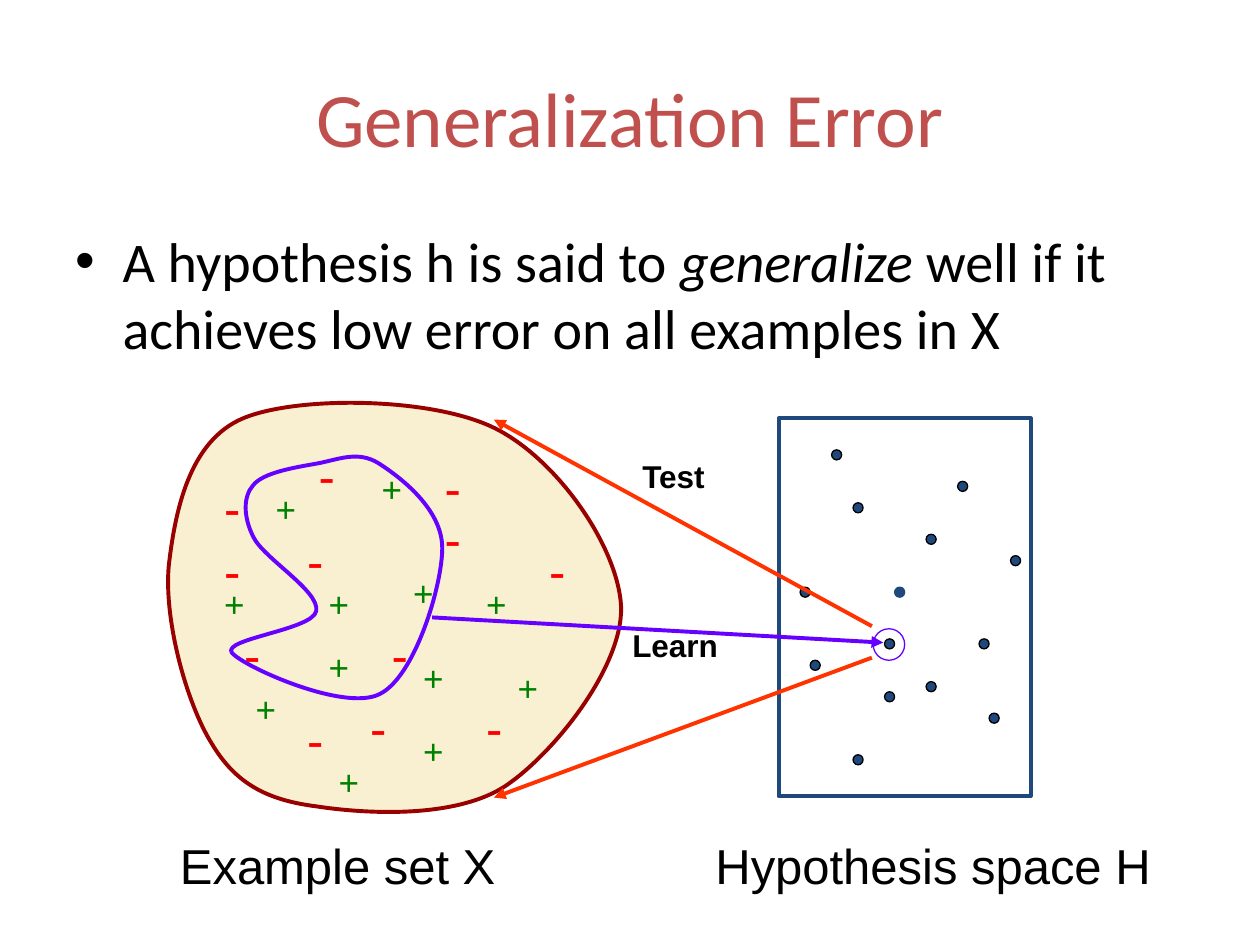
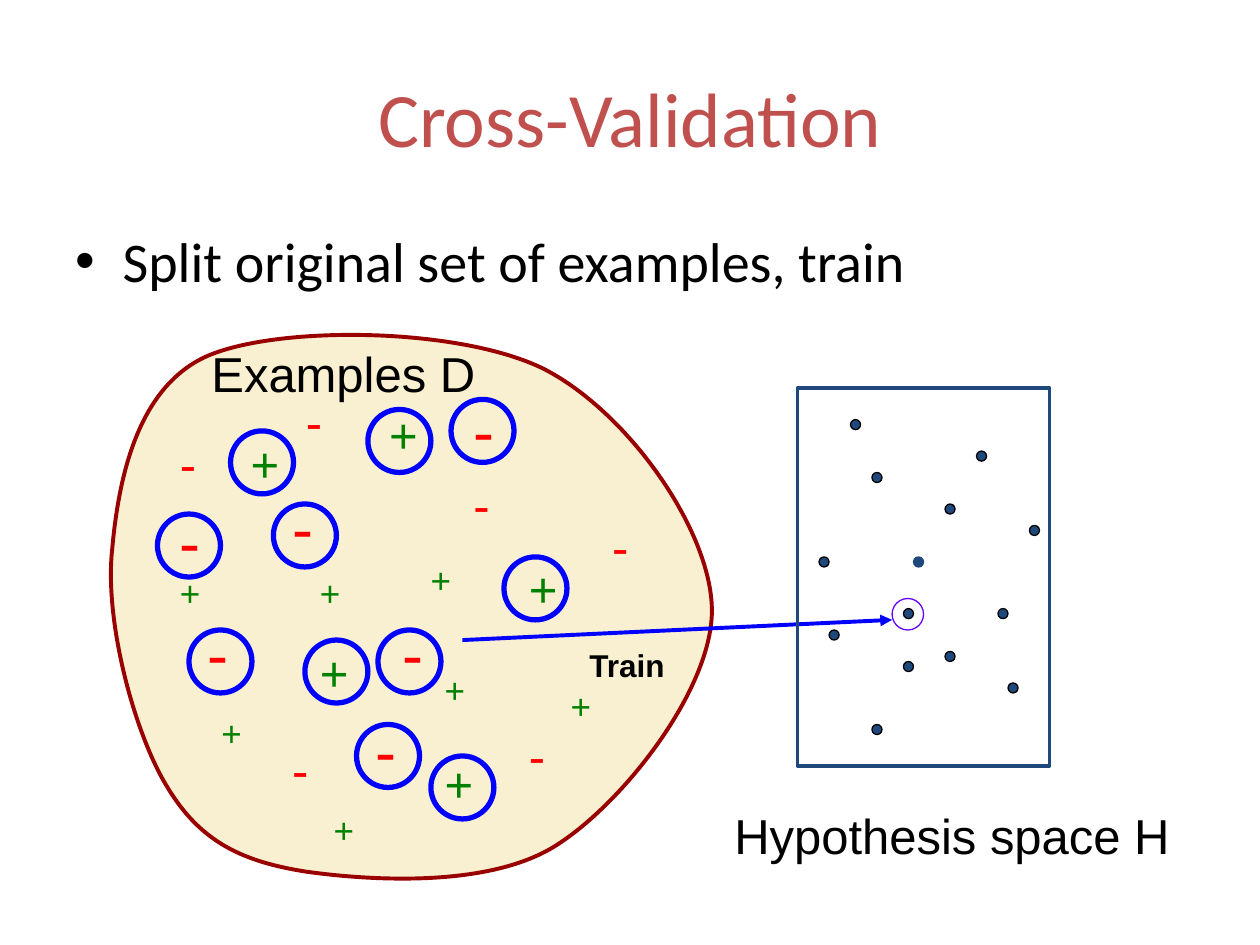
"""Build two slides on generalization error and cross-validation."""
from dataclasses import dataclass

from lxml import etree
from pptx import Presentation, util as u
from pptx.dml.color import RGBColor
from pptx.enum import shapes, text
from pptx.oxml.ns import qn

SCALE = 9144
BRICK = RGBColor(0xC0, 0x50, 0x4D)
BLACK = RGBColor(0x00, 0x00, 0x00)
GREEN = RGBColor(0x00, 0x80, 0x00)
RED = RGBColor(0xFF, 0x00, 0x00)
CREAM = RGBColor(0xF8, 0xF0, 0xD0)
MAROON = RGBColor(0x99, 0x00, 0x00)
NAVY = RGBColor(0x1F, 0x49, 0x7D)
PURPLE = RGBColor(0x66, 0x00, 0xFF)
ORANGE = RGBColor(0xFF, 0x33, 0x00)
BLUE = RGBColor(0x00, 0x00, 0xFF)

Spot = tuple[int, int]


@dataclass(frozen=True)
class Box:
    """Left, top, width and height in px."""
    x: int
    y: int
    w: int
    h: int


@dataclass(frozen=True)
class Mark:
    """A plus or minus sign and its box size."""
    sign: str
    size: int
    w: int
    h: int
    color: RGBColor


@dataclass(frozen=True)
class Label:
    """A caption and its place."""
    words: str
    box: Box
    size: int = 28
    bold: bool = False


@dataclass(frozen=True)
class Arrow:
    """A line that ends in an arrowhead."""
    start: Spot
    end: Spot
    color: RGBColor


PLUS = Mark("+", 20, 36, 43, GREEN)
MINUS = Mark("-", 28, 33, 57, RED)
BIG_PLUS = Mark("+", 28, 43, 57, GREEN)
BIG_MINUS = Mark("-", 36, 37, 70, RED)

BLOB = [(251, 640), (212, 635), (187, 622), (168, 590), (148, 558), (130, 492), (134, 449),
        (139, 406), (150, 350), (193, 332), (236, 314), (343, 315), (393, 340),
        (443, 365), (491, 435), (493, 482), (494, 529), (441, 597), (401, 624),
        (361, 650), (290, 646), (251, 640)]
WIDE = [(244, 692), (192, 684), (159, 668), (133, 625), (107, 583), (83, 494), (89, 437),
        (94, 380), (109, 306), (166, 282), (224, 258), (366, 260), (432, 293),
        (498, 327), (563, 419), (565, 482), (567, 544), (497, 635), (443, 670),
        (390, 705), (295, 699), (244, 692)]
CURVE = [(201, 426), (209, 443), (254, 469), (251, 485), (248, 500), (176, 507), (184, 518),
         (193, 529), (273, 565), (301, 551), (329, 538), (351, 465), (351, 435),
         (351, 404), (318, 379), (301, 368), (284, 357), (268, 365), (251, 368),
         (234, 371), (209, 375), (201, 385), (193, 394), (193, 410), (201, 426)]
DOTS = [(84, 175), (59, 67), (42, 25), (117, 92), (184, 109), (17, 134), (117, 209),
        (25, 192), (92, 134), (159, 175), (84, 217), (142, 50), (167, 234), (59, 267)]
BLUE_DOT = (92, 134)

SIGNS_X = {
    PLUS: [(251, 457), (326, 516), (251, 507), (168, 457), (259, 599), (293, 366),
           (376, 457), (401, 524), (193, 541), (318, 449), (209, 382), (326, 574)],
    MINUS: [(376, 549), (184, 491), (168, 374), (234, 558), (168, 424), (301, 491),
            (343, 358), (234, 416), (343, 399), (426, 424), (243, 349), (284, 549)],
}
SIGNS_D = {
    PLUS: [(244, 449), (343, 526), (133, 449), (255, 637), (443, 538), (166, 560), (332, 438)],
    MINUS: [(410, 571), (133, 339), (222, 582), (366, 372), (476, 405), (233, 306)],
}
CHOSEN = {
    BIG_PLUS: [(244, 505), (299, 316), (410, 438), (189, 339), (343, 593)],
    BIG_MINUS: [(155, 483), (133, 394), (310, 483), (366, 306), (222, 383), (288, 560)],
}
RINGS = [(183, 342), (217, 400), (125, 408), (150, 500), (242, 508), (300, 500),
         (292, 325), (358, 317), (400, 442), (283, 575), (342, 600)]


def px(*vals: int) -> list[u.Emu]:
    """Turn px lengths into EMU."""
    return [u.Emu(v * SCALE) for v in vals]


def paint(item, line: RGBColor, width: float, fill: RGBColor | None = None) -> None:
    """Set the outline and fill of a shape."""
    item.shadow.inherit = False
    item.line.color.rgb = line
    item.line.width = u.Pt(width)
    if fill is None:
        item.fill.background()
    else:
        item.fill.solid()
        item.fill.fore_color.rgb = fill


def write(host, box: Box, runs: list[tuple[str, dict]], color: RGBColor, frame: dict):
    """Add a text box of formatted runs and return its paragraph."""
    area = host.add_textbox(*px(box.x, box.y, box.w, box.h)).text_frame
    for key, val in frame.items():
        setattr(area, key, val)
    para = area.paragraphs[0]
    for words, form in runs:
        run = para.add_run()
        run.text = words
        run.font.color.rgb = color
        for key, val in form.items():
            setattr(run.font, key, val)
    return para


def head(host, title: str, parts: list[tuple[str, bool]]) -> None:
    """Add the title and the bullet, whose parts may be italic."""
    para = write(host, Box(50, 30, 900, 125), [(title, {"name": "Calibri", "size": u.Pt(44)})],
                 BRICK, {"word_wrap": True, "vertical_anchor": text.MSO_ANCHOR.MIDDLE})
    para.alignment = text.PP_ALIGN.CENTER
    runs = [(words, {"name": "Calibri", "size": u.Pt(32), "italic": slant})
            for words, slant in parts]
    para = write(host, Box(50, 175, 900, 495), runs, BLACK, {"word_wrap": True})
    props = para._p.get_or_add_pPr()
    indent = u.Pt(27)
    props.set("marL", str(indent))
    props.set("indent", str(-indent))
    etree.SubElement(props, qn("a:buFont")).set("typeface", "Arial")
    etree.SubElement(props, qn("a:buChar")).set("char", "•")


def label(host, item: Label) -> None:
    """Add one caption."""
    form = {"name": "Arial", "size": u.Pt(item.size), "bold": item.bold}
    write(host, item.box, [(item.words, form)], BLACK,
          {"word_wrap": True, "auto_size": text.MSO_AUTO_SIZE.SHAPE_TO_FIT_TEXT})


def signs(host, marks: dict[Mark, list[Spot]]) -> None:
    """Add plus and minus signs."""
    for mark, spots in marks.items():
        form = {"name": "Arial", "size": u.Pt(mark.size)}
        for x, y in spots:
            write(host, Box(x, y, mark.w, mark.h), [(mark.sign, form)], mark.color,
                  {"word_wrap": False, "auto_size": text.MSO_AUTO_SIZE.SHAPE_TO_FIT_TEXT})


def loop(host, knots: list[Spot], line: RGBColor, fill: RGBColor | None = None) -> None:
    """Draw a closed outline of cubic curves."""
    first, *rest = [px(*knot) for knot in knots]
    pen = host.build_freeform(*first, scale=1.0)
    pen.add_line_segments(rest, close=True)
    item = pen.convert_to_shape()
    legs = list(item._element.iter(qn("a:lnTo")))
    for i in range(0, len(legs), 3):
        bend = etree.Element(qn("a:cubicBezTo"))
        legs[i].addprevious(bend)
        for leg in legs[i:i + 3]:
            bend.append(leg[0])
            leg.getparent().remove(leg)
    paint(item, line, 2.25, fill)


def disc(host, spot: Spot, size: int, line: RGBColor, width: float,
         fill: RGBColor | None = None) -> None:
    """Draw a circle."""
    item = host.add_shape(shapes.MSO_SHAPE.OVAL, *px(*spot, size, size))
    paint(item, line, width, fill)


def space(host, x: int, y: int) -> None:
    """Draw the hypothesis space with its dots, ring and caption."""
    frame = host.add_shape(shapes.MSO_SHAPE.RECTANGLE, *px(x, y, 200, 300))
    paint(frame, NAVY, 2.25)
    for dot in DOTS:
        edge = NAVY if dot == BLUE_DOT else BLACK
        disc(host, (x + dot[0], y + dot[1]), 8, edge, 0.75, NAVY)
    disc(host, (x + 75, y + 167), 25, PURPLE, 0.75)
    label(host, Label("Hypothesis space H", Box(x - 60, y + 326, 400, 57)))


def point(host, item: Arrow) -> None:
    """Draw one arrow."""
    link = host.add_connector(shapes.MSO_CONNECTOR.STRAIGHT, *px(*item.start, *item.end))
    link.line.color.rgb = item.color
    link.line.width = u.Pt(2.25)
    etree.SubElement(link.line._get_or_add_ln(), qn("a:tailEnd")).set("type", "triangle")
    etree.SubElement(link._element.spPr, qn("a:effectLst"))


def general(host) -> None:
    """Build the slide on generalization error."""
    head(host, "Generalization Error",
         [("A hypothesis h is said to ", False), ("generalize", True),
          (" well if it achieves low error on all examples in X", False)])
    group = host.add_group_shape().shapes
    loop(group, BLOB, MAROON, CREAM)
    signs(group, SIGNS_X)
    space(host, 618, 332)
    loop(host, CURVE, PURPLE)
    for item in (Arrow((343, 490), (701, 510), PURPLE),
                 Arrow((692, 497), (392, 333), ORANGE),
                 Arrow((692, 522), (392, 633), ORANGE)):
        point(host, item)
    for item in (Label("Learn", Box(492, 492, 100, 40), 18, True),
                 Label("Test", Box(500, 358, 100, 40), 18, True),
                 Label("Example set X", Box(133, 658, 400, 57))):
        label(host, item)


def cross(host) -> None:
    """Build the slide on cross-validation."""
    head(host, "Cross-Validation", [("Split original set of examples, train", False)])
    loop(host, WIDE, MAROON, CREAM)
    for marks in (SIGNS_D, CHOSEN):
        signs(host.add_group_shape().shapes, marks)
    for spot in RINGS:
        disc(host, spot, 50, BLUE, 3)
    point(host, Arrow((367, 508), (708, 492), BLUE))
    space(host, 633, 308)
    label(host, Label("Train", Box(458, 508, 117, 40), 18, True))
    label(host, Label("Examples D", Box(158, 268, 400, 57)))


def main() -> None:
    """Build and save the deck."""
    deck = Presentation()
    deck.slide_width, deck.slide_height = px(1000, 750)
    for build in (general, cross):
        build(deck.slides.add_slide(deck.slide_layouts[6]).shapes)
    deck.save("out.pptx")


if __name__ == "__main__":
    main()
